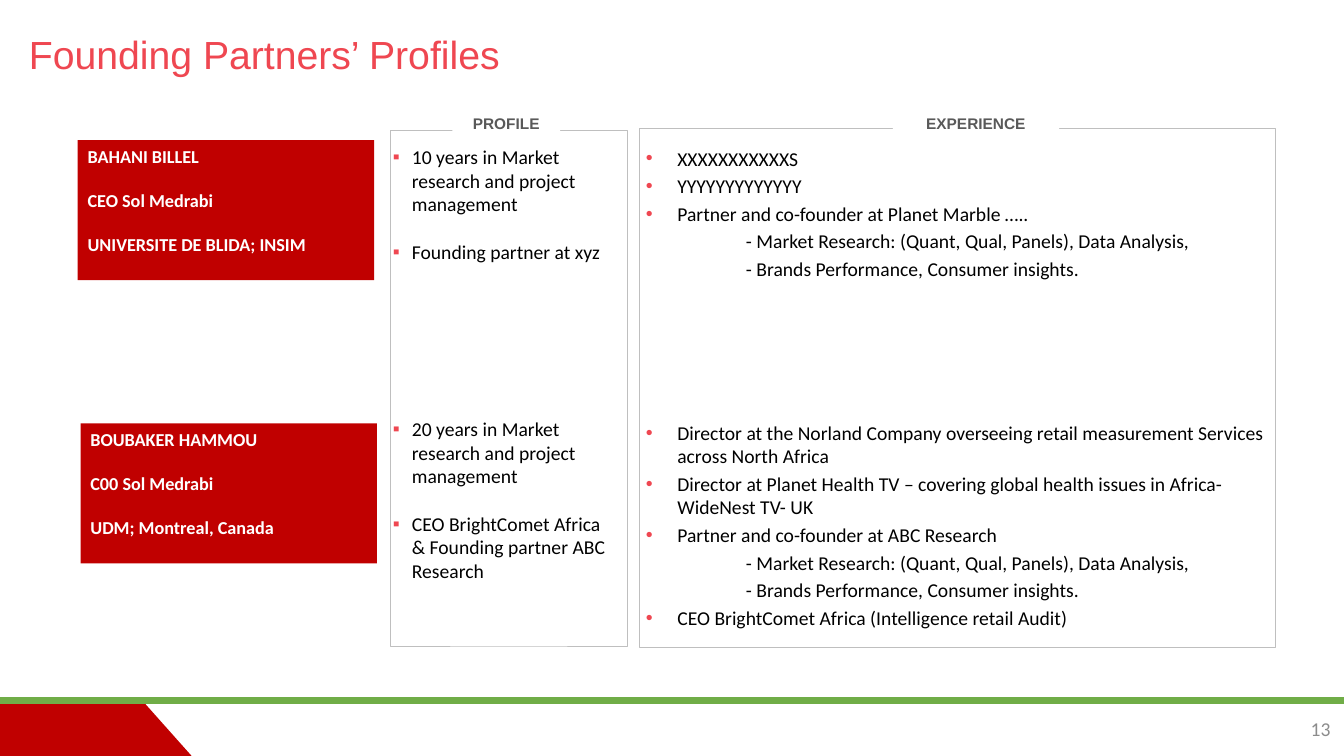
from dataclasses import dataclass

from lxml import etree
from pptx import Presentation
from pptx.dml.color import RGBColor
from pptx.enum.shapes import MSO_CONNECTOR, MSO_SHAPE
from pptx.enum.text import MSO_ANCHOR, PP_ALIGN
from pptx.oxml.ns import qn
from pptx.util import Cm, Pt

RECT = MSO_SHAPE.RECTANGLE
STRAIGHT = MSO_CONNECTOR.STRAIGHT
TOP, MIDDLE = MSO_ANCHOR.TOP, MSO_ANCHOR.MIDDLE
LEFT, CENTER, RIGHT = PP_ALIGN.LEFT, PP_ALIGN.CENTER, PP_ALIGN.RIGHT


@dataclass(frozen=True)
class Theme:
    head_font: str = "Arial"
    body_font: str = "Calibri"
    accent: str = "EF4751"
    red: str = "C00000"
    green: str = "70AD47"
    frame: str = "BFBFBF"
    label: str = "595959"
    number: str = "8C8C8C"
    black: str = "000000"
    white: str = "FFFFFF"
    title_size: float = 28
    body_size: float = 14
    card_size: float = 13
    label_size: float = 11


class ProfileSlide:
    """Draws the parts of the slide in one theme."""

    def __init__(self, prs, theme):
        self.s = prs.slides.add_slide(prs.slide_layouts[6])
        self.t = theme

    def paint(self, sp, fill=None, line=None):
        sp.shadow.inherit = False
        if fill:
            sp.fill.solid()
            sp.fill.fore_color.rgb = RGBColor.from_string(fill)
        else:
            sp.fill.background()
        if line:
            sp.line.color.rgb = RGBColor.from_string(line)
            sp.line.width = Pt(0.25)
        else:
            sp.line.fill.background()

    def box(self, x, y, w, h, fill=None, line=None):
        sp = self.s.shapes.add_shape(RECT, Cm(x), Cm(y), Cm(w), Cm(h))
        self.paint(sp, fill, line)
        return sp

    def textbox(self, x, y, w, h):
        return self.s.shapes.add_textbox(Cm(x), Cm(y), Cm(w), Cm(h))

    def set_text(self, sp, lines, size, color, font, bold=False, align=LEFT,
                 anchor=TOP, gap=0):
        tf = sp.text_frame
        tf.word_wrap = True
        tf.vertical_anchor = anchor
        tf.text = "\n".join(lines)
        for i, p in enumerate(tf.paragraphs):
            p.alignment = align
            p.space_before = Pt(gap if i else 0)
            for r in p.runs:
                r.font.size = Pt(size)
                r.font.name = font
                r.font.bold = bold
                r.font.color.rgb = RGBColor.from_string(color)
        return tf

    def indent(self, p, left, hanging=0, bullet=None):
        pPr = p._p.get_or_add_pPr()
        pPr.set("marL", str(Cm(left)))
        pPr.set("indent", str(-Cm(hanging)))
        if bullet:
            clr = etree.SubElement(pPr, qn("a:buClr"))
            etree.SubElement(clr, qn("a:srgbClr"), val=self.t.accent)
            etree.SubElement(pPr, qn("a:buFont"), typeface=self.t.head_font)
            etree.SubElement(pPr, qn("a:buChar"), char=bullet)

    def title(self, text):
        self.set_text(self.textbox(0.48, 0.64, 12.6, 1.45), [text],
                      self.t.title_size, self.t.accent, self.t.head_font)

    def label(self, text, x, w):
        self.set_text(self.box(x, 2.74, w, 0.74, self.t.white), [text],
                      self.t.label_size, self.t.label, self.t.head_font,
                      bold=True, align=CENTER)

    def card(self, lines, x, y):
        self.set_text(self.box(x, y, 7.47, 3.53, self.t.red), lines,
                      self.t.card_size, self.t.white, self.t.body_font,
                      bold=True, gap=15.9)

    def profile(self, lines, y, h):
        tf = self.set_text(self.textbox(9.65, y, 6.12, h), lines,
                           self.t.body_size, self.t.black, self.t.body_font,
                           gap=17.1)
        for p in tf.paragraphs:
            self.indent(p, 0.48, 0.48, "▪")

    def experience(self, lines, y, h):
        tf = self.set_text(self.textbox(16.23, y, 16.03, h), lines,
                           self.t.body_size, self.t.black, self.t.body_font,
                           gap=2.9)
        tf.margin_left = tf.margin_right = tf.margin_bottom = 0
        tf.margin_top = Cm(0.59)
        for p in tf.paragraphs:
            if p.text.startswith("-"):
                self.indent(p, 2.57)
            else:
                self.indent(p, 0.84, 0.79, "•")

    def footer(self, number):
        fb = self.s.shapes.build_freeform(0, Cm(17.68))
        fb.add_line_segments([(Cm(3.61), Cm(17.68)), (Cm(4.83), Cm(19.05)),
                              (0, Cm(19.05))])
        self.paint(fb.convert_to_shape(), self.t.red)
        cn = self.s.shapes.add_connector(STRAIGHT, 0, Cm(17.65), Cm(33.87), Cm(17.65))
        cn.line.color.rgb = RGBColor.from_string(self.t.green)
        cn.line.width = Pt(4.5)
        etree.SubElement(cn._element.spPr, qn("a:effectLst"))
        self.set_text(self.textbox(32.64, 17.86, 1.14, 1.02), [number],
                      self.t.body_size, self.t.number, self.t.body_font,
                      align=RIGHT, anchor=MIDDLE)


def main():
    prs = Presentation()
    prs.slide_width, prs.slide_height = Cm(33.87), Cm(19.05)
    theme = Theme()
    slide = ProfileSlide(prs, theme)
    research = ["- Market Research: (Quant, Qual, Panels), Data Analysis,",
                "- Brands Performance, Consumer insights."]

    slide.footer("13")
    slide.title("Founding Partners’ Profiles")
    slide.box(9.83, 3.28, 5.97, 13, line=theme.frame)
    slide.box(16.1, 3.23, 16.03, 13.08, line=theme.frame)
    slide.label("PROFILE", 11.4, 2.72)
    slide.label("EXPERIENCE", 22.5, 4.19)

    slide.card(["BAHANI BILLEL", "CEO Sol Medrabi",
                "UNIVERSITE DE BLIDA; INSIM"], 1.96, 3.53)
    slide.profile(["10 years in Market research and project management",
                   "Founding partner at xyz"], 3.53, 3.25)
    slide.experience(["XXXXXXXXXXXS", "YYYYYYYYYYYYY",
                      "Partner and co-founder at Planet Marble …..",
                      *research], 3.1, 4.39)

    slide.card(["BOUBAKER HAMMOU", "C00 Sol Medrabi",
                "UDM; Montreal, Canada"], 2.03, 10.67)
    slide.profile(["20 years in Market research and project management",
                   "CEO BrightComet Africa & Founding partner ABC Research"],
                  10.39, 4.83)
    slide.experience(["Director at the Norland Company overseeing retail "
                      "measurement Services across North Africa",
                      "Director at Planet Health TV – covering global health "
                      "issues in Africa- WideNest TV- UK",
                      "Partner and co-founder at ABC Research", *research,
                      "CEO BrightComet Africa (Intelligence retail Audit)"],
                     10.01, 6.3)
    prs.save("out.pptx")


if __name__ == "__main__":
    main()
